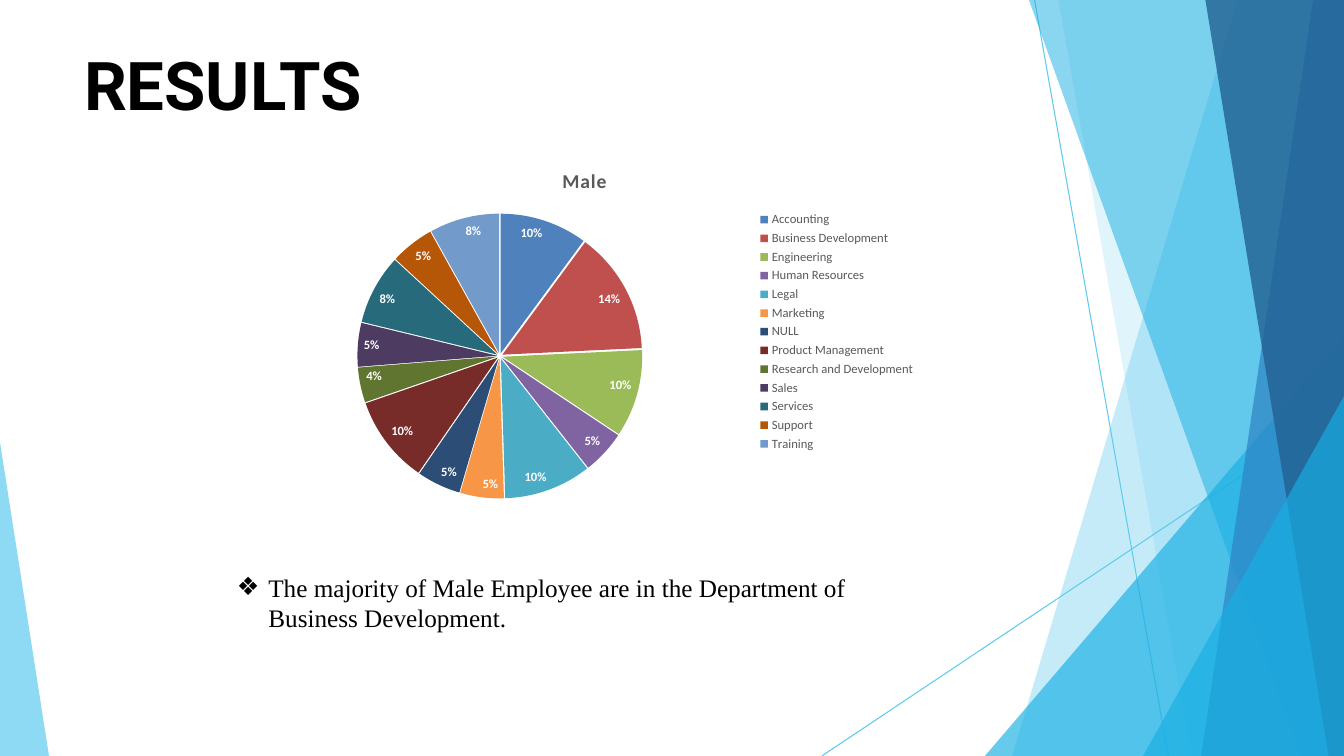
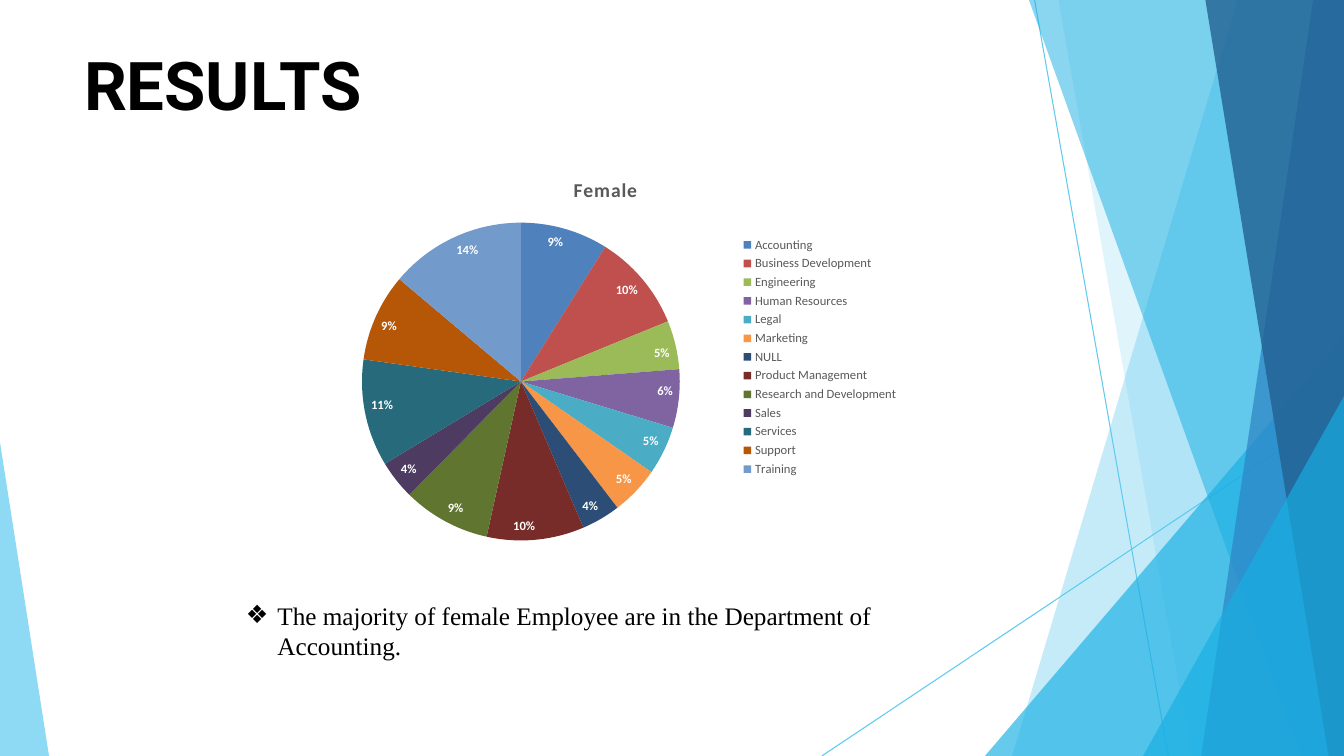
from dataclasses import dataclass
from lxml.etree import SubElement
from pptx import Presentation
from pptx.chart.data import CategoryChartData
from pptx.dml.color import RGBColor
from pptx.enum.chart import XL_CHART_TYPE, XL_LABEL_POSITION, XL_LEGEND_POSITION
from pptx.enum.shapes import MSO_CONNECTOR
from pptx.enum.text import MSO_ANCHOR, MSO_AUTO_SIZE, PP_ALIGN
from pptx.oxml.ns import qn
from pptx.util import Pt


@dataclass(frozen=True)
class Theme:
    black: str = "000000"
    white: str = "FFFFFF"
    gray: str = "595959"
    sky: str = "5FCAEE"
    cyan: str = "17AFE3"
    blue: str = "2D83C3"
    navy: str = "226192"
    pie: tuple = (
        "4F81BD", "C0504D", "9BBB59", "8064A2", "4BACC6", "F79646", "2C4D75",
        "772C2A", "5F7530", "4D3B62", "276A7C", "B65708", "729ACA",
    )
    head: tuple = ("Roboto", 48, True)
    body: tuple = ("Times New Roman", 18, False)
    base: tuple = ("Calibri", 10, False)
    name: tuple = ("Calibri", 14, True)
    key: tuple = ("Calibri", 9, False)
    label: tuple = ("Calibri", 9, True)


def put(item, **vals):
    for key, val in vals.items():
        setattr(item, key, val)


def style(font, kind, color):
    name, size, bold = kind
    put(font, name=name, size=Pt(size), bold=bold)
    font.color.rgb = RGBColor.from_string(color)


theme = Theme()
wide, high = 960, 540
deck = Presentation()
put(deck, slide_width=Pt(wide), slide_height=Pt(high))
layout = deck.slide_layouts[1]
for holder in list(layout.placeholders):
    if holder.placeholder_format.idx >= 10:
        holder.element.getparent().remove(holder.element)
put(layout.placeholders[0], left=Pt(60), top=Pt(30), width=Pt(841), height=Pt(60))

depts = (
    "Accounting", "Business Development", "Engineering", "Human Resources",
    "Legal", "Marketing", "NULL", "Product Management",
    "Research and Development", "Sales", "Services", "Support", "Training",
)
pages = [
    {
        "name": "Male",
        "vals": (10, 14, 10, 5, 10, 5, 5, 10, 4, 5, 8, 5, 8),
        "gap": 2,
        "area": (174, 108, 487, 258),
        "spot": (162, 405),
        "note": "The majority of Male Employee are in the Department of Business Development.",
    },
    {
        "name": "Female",
        "vals": (9, 10, 5, 6, 5, 5, 4, 10, 9, 4, 11, 9, 14),
        "gap": 0,
        "area": (216, 114, 433, 282),
        "spot": (168.5, 425),
        "note": "The majority of female Employee are in the Department of Accounting.",
    },
]
slides = [deck.slides.add_slide(layout) for page in pages]

stage = slides[0].shapes
decor = []
for ends in ((739, 0, 834.5, high), (wide, 291, 587, high)):
    line = stage.add_connector(MSO_CONNECTOR.STRAIGHT, *map(Pt, ends))
    line.line.color.rgb = RGBColor.from_string(theme.sky)
    line.line.width = Pt(0.75)
    SubElement(line.element.spPr, qn("a:effectLst"))
    decor.append(line)

shards = (
    (wide, 884, 0, 723, theme.sky, 36),
    (wide, 756, 0, 851, theme.sky, 20),
    (wide, wide, 240, 703.5, theme.cyan, 66),
    (wide, 735, 0, 929.5, theme.cyan, 50),
    (wide, 938, 0, 858, theme.blue, 70),
    (wide, 861, 0, 949, theme.navy, 80),
    (wide, wide, 283, 816.5, theme.cyan, 66),
    (0, 0, 316, 35, theme.sky, 70),
)
for edge, tip, top, foot, color, alpha in shards:
    form = stage.build_freeform(Pt(edge), Pt(top), scale=1)
    form.add_line_segments(
        [(Pt(x), Pt(y)) for x, y in ((tip, top), (foot, high), (edge, high))]
    )
    shard = form.convert_to_shape()
    shard.shadow.inherit = False
    shard.fill.solid()
    shard.fill.fore_color.rgb = RGBColor.from_string(color)
    shard.line.fill.background()
    tint = shard.element.find(".//" + qn("a:solidFill") + "/" + qn("a:srgbClr"))
    SubElement(tint, qn("a:alpha"), val=str(alpha * 1000))
    decor.append(shard)
for item in decor:
    layout.shapes.element.append(item.element)

flush = dict.fromkeys(("margin_left", "margin_top", "margin_right", "margin_bottom"), 0)
for slide, page in zip(slides, pages):
    title = slide.shapes.title
    title.text = "RESULTS"
    frame = title.text_frame
    put(frame, auto_size=MSO_AUTO_SIZE.NONE, vertical_anchor=MSO_ANCHOR.MIDDLE, **flush)
    frame.paragraphs[0].alignment = PP_ALIGN.LEFT
    style(frame.paragraphs[0].runs[0].font, theme.head, theme.black)

    data = CategoryChartData()
    data.categories = depts
    data.add_series(page["name"], page["vals"])
    chart = slide.shapes.add_chart(
        XL_CHART_TYPE.PIE, *map(Pt, page["area"]), data
    ).chart
    put(chart, has_title=True, has_legend=True)
    style(chart.font, theme.base, theme.black)
    label = chart.chart_title.text_frame
    label.text = page["name"]
    style(label.paragraphs[0].runs[0].font, theme.name, theme.gray)
    for prop in chart.element.iter(qn("a:rPr")):
        prop.set("spc", "50")
    put(chart.legend, position=XL_LEGEND_POSITION.RIGHT, include_in_layout=False)
    style(chart.legend.font, theme.key, theme.gray)

    plot = chart.plots[0]
    plot.vary_by_categories = True
    pie = plot.series[0]
    for spot, color in enumerate(theme.pie):
        fill = pie.points[spot].format.fill
        fill.solid()
        fill.fore_color.rgb = RGBColor.from_string(color)
    if page["gap"]:
        root = chart.element.find(".//" + qn("c:ser"))
        burst = SubElement(root, qn("c:explosion"), val=str(page["gap"]))
        root.find(qn("c:tx")).addnext(burst)
    labels = pie.data_labels
    put(
        labels,
        show_value=False,
        show_percentage=True,
        number_format="0%",
        number_format_is_linked=False,
        position=XL_LABEL_POSITION.INSIDE_END,
    )
    style(labels.font, theme.label, theme.white)

    body = slide.placeholders[1]
    left, top = page["spot"]
    put(body, left=Pt(left), top=Pt(top), width=Pt(480), height=Pt(51))
    body.text_frame.text = page["note"]
    put(body.text_frame, auto_size=MSO_AUTO_SIZE.NONE, word_wrap=True)
    para = body.text_frame.paragraphs[0]
    para.space_before = Pt(0)
    style(para.runs[0].font, theme.body, theme.black)
    for prop in body.element.iter(qn("a:pPr")):
        put_in = str(Pt(22.5))
        prop.set("marL", put_in)
        prop.set("indent", "-" + put_in)
        SubElement(prop, qn("a:buChar"), char="❖")

deck.save("out.pptx")
